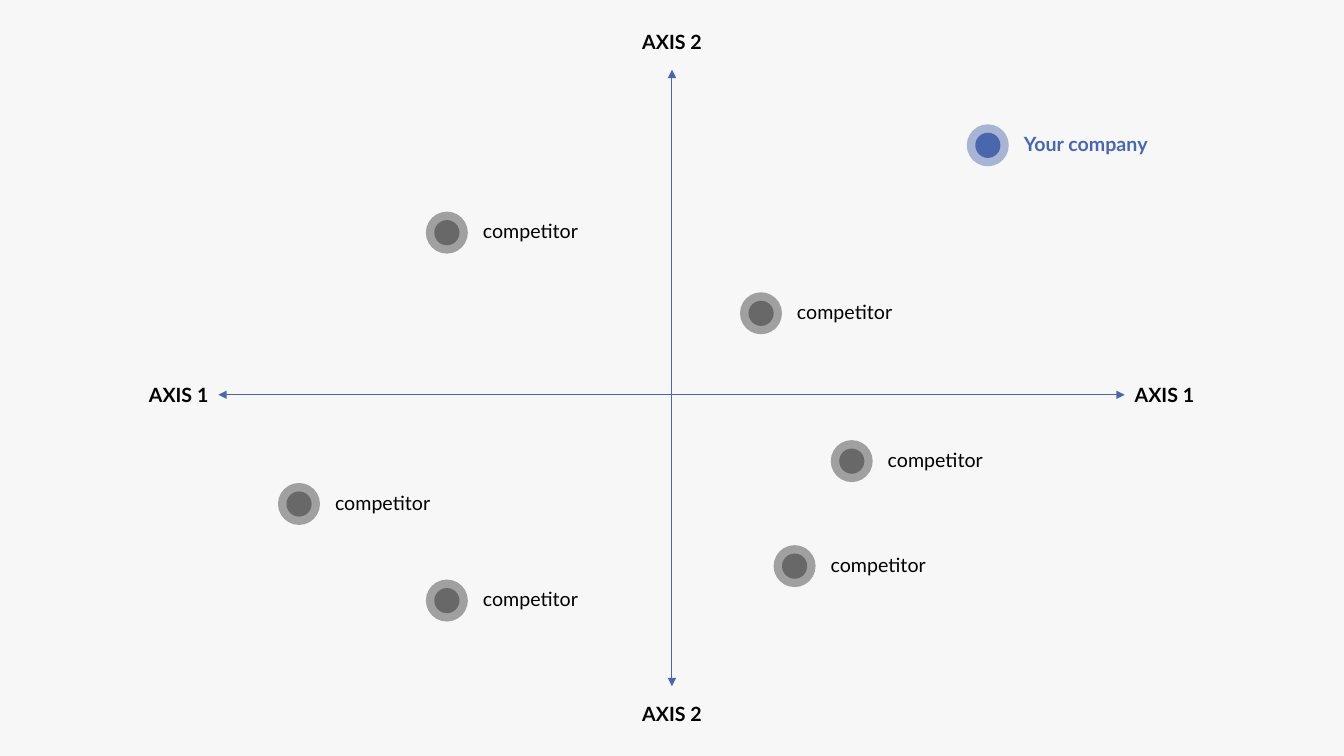
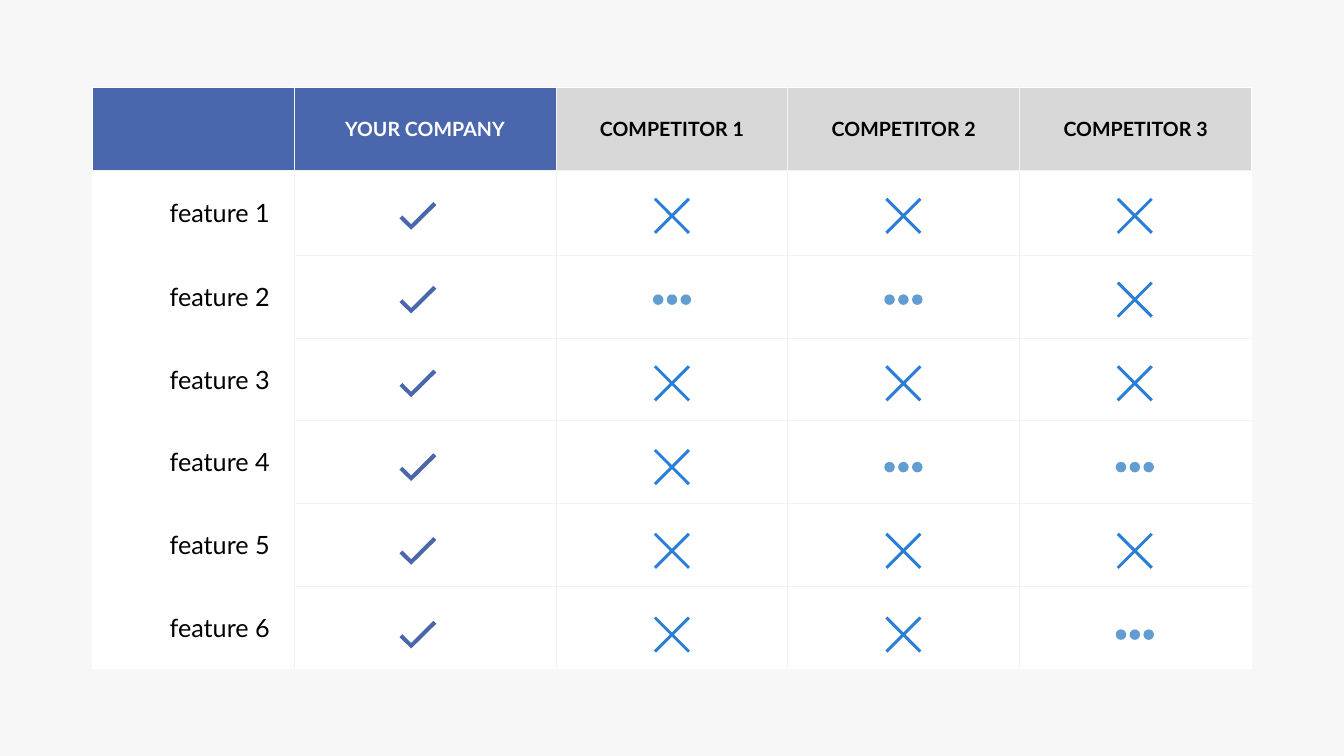
from lxml import etree
from pptx import Presentation
from pptx.dml.color import RGBColor
from pptx.enum.shapes import MSO_CONNECTOR, MSO_SHAPE
from pptx.enum.text import MSO_ANCHOR, MSO_AUTO_SIZE, PP_ALIGN
from pptx.oxml.ns import qn
from pptx.util import Emu, Inches, Pt

# Shared look: every length is in cells of a 160 by 90 grid
COLORS = {
    "page": "F7F7F7", "brand": "4A66AC", "cross": "297FD5", "dots": "629DD1",
    "black": "000000", "white": "FFFFFF", "header": "D8D8D8", "border": "F2F2F2",
}
FONT = "Lato"
CELL = Inches(1) / 12


def grid(*cells):
    return [Emu(round(CELL * cell)) for cell in cells]


def write_text(frame, text, size=14, bold=False, color="black", align=PP_ALIGN.LEFT):
    para = frame.paragraphs[0]
    para.alignment = align
    span = para.add_run()
    span.text = text
    span.font.name = FONT
    span.font.size = Pt(size)
    span.font.bold = bold
    span.font.color.rgb = RGBColor.from_string(COLORS[color])


deck = Presentation()
deck.slide_width, deck.slide_height = grid(160, 90)
background = deck.slide_master.background.fill
background.solid()
background.fore_color.rgb = RGBColor.from_string(COLORS["page"])
blank = deck.slide_layouts[6]
map_page = deck.slides.add_slide(blank)
table_page = deck.slides.add_slide(blank)
paint_jobs = []  # shape, color, opacity in percent

# Map: discs, given by their centres
RING, CORE = 5, 3
competitors = [(90.6, 37.3), (101.4, 54.9), (94.6, 67.4),
               (35.6, 60), (53.2, 71.5), (53.2, 27.7)]
players = [("Your company", 117.6, 17.3, True, "brand", 46, 100)]
players += [("competitor", x, y, False, "black", 35, 35) for x, y in competitors]

LABEL_WIDTH, LABEL_HEIGHT = 22.4, 4
labels = []  # text, left, middle, bold, color, alignment
for text, x, y, bold, color, ring_opacity, core_opacity in players:
    group = map_page.shapes.add_group_shape()
    for size, opacity in ((RING, ring_opacity), (CORE, core_opacity)):
        disc = group.shapes.add_shape(
            MSO_SHAPE.OVAL, *grid(x - size / 2, y - size / 2, size, size))
        paint_jobs.append((disc, color, opacity))
    labels.append((text, x + 3.1, y - 0.2, bold, color, PP_ALIGN.LEFT))

# Map: axis ends and all labels
AXIS_X, AXIS_Y = 80, 47
AXIS_LEFT, AXIS_RIGHT = 26, 133.9
labels += [
    ("AXIS 2", AXIS_X - LABEL_WIDTH / 2, 5, True, "black", PP_ALIGN.CENTER),
    ("AXIS 2", AXIS_X - LABEL_WIDTH / 2, 85, True, "black", PP_ALIGN.CENTER),
    ("AXIS 1", AXIS_LEFT - LABEL_WIDTH, AXIS_Y, True, "black", PP_ALIGN.RIGHT),
    ("AXIS 1", AXIS_RIGHT, AXIS_Y, True, "black", PP_ALIGN.LEFT),
]
boxes = []
for text, left, middle, bold, color, align in labels:
    box = map_page.shapes.add_textbox(
        *grid(left, middle - LABEL_HEIGHT / 2, LABEL_WIDTH, LABEL_HEIGHT))
    box.text_frame.word_wrap = True
    box.text_frame.auto_size = MSO_AUTO_SIZE.SHAPE_TO_FIT_TEXT
    box.text_frame.vertical_anchor = MSO_ANCHOR.MIDDLE
    write_text(box.text_frame, text, bold=bold, color=color, align=align)
    boxes.append(box)

# Map: axes with an arrowhead at both ends
axes = [map_page.shapes.add_connector(MSO_CONNECTOR.STRAIGHT, *grid(*ends))
        for ends in ((AXIS_X, 8.3, AXIS_X, 81.7),
                     (AXIS_LEFT, AXIS_Y, AXIS_RIGHT, AXIS_Y))]
axes[1].begin_connect(boxes[-2], 3)
axes[1].end_connect(boxes[-1], 1)
for axis in axes:
    axis.line.color.rgb = RGBColor.from_string(COLORS["brand"])
    axis.line.width = Pt(0.75)
    outline = axis.line._get_or_add_ln()
    for end in ("a:headEnd", "a:tailEnd"):
        etree.SubElement(outline, qn(end), type="triangle")
    etree.SubElement(axis._element.spPr, qn("a:effectLst"))

# Comparison: table
COLUMNS = [24, 31.2, 27.6, 27.6, 27.6]
ROWS = [9.85, 10.1] + [9.85] * 5
HEADERS = ["", "YOUR COMPANY", "COMPETITOR 1", "COMPETITOR 2", "COMPETITOR 3"]
table = table_page.shapes.add_table(
    len(ROWS), len(COLUMNS), *grid(11, 10.45, sum(COLUMNS), sum(ROWS))).table
table.first_row = table.horz_banding = False
for column, width in zip(table.columns, grid(*COLUMNS)):
    column.width = width
for row, height in zip(table.rows, grid(*ROWS)):
    row.height = height

last_row, last_column = len(ROWS) - 1, len(COLUMNS) - 1
for r in range(len(ROWS)):
    for c in range(len(COLUMNS)):
        cell = table.cell(r, c)
        cell.vertical_anchor = MSO_ANCHOR.MIDDLE
        fill_color = "white" if r else "brand" if c < 2 else "header"
        cell.fill.solid()
        cell.fill.fore_color.rgb = RGBColor.from_string(COLORS[fill_color])
        if r == 0 and c:
            write_text(cell.text_frame, HEADERS[c], bold=True,
                       color="white" if c == 1 else "black", align=PP_ALIGN.CENTER)
        elif c == 0 and r:
            cell.margin_right = Inches(0.24)
            write_text(cell.text_frame, f"feature {r}", size=18, align=PP_ALIGN.RIGHT)

        # White on the outside and between features, pale grey elsewhere
        white_sides = [
            ("a:lnL", c == 0),
            ("a:lnR", c == last_column),
            ("a:lnT", r == 0 or (c == 0 and r > 1)),
            ("a:lnB", r == last_row or (c == 0 and r > 0)),
        ]
        properties = cell._tc.get_or_add_tcPr()
        for position, (side, is_white) in enumerate(white_sides):
            border = etree.Element(qn(side), w=str(Pt(1 if is_white else 0.75)))
            border_fill = etree.SubElement(border, qn("a:solidFill"))
            etree.SubElement(border_fill, qn("a:srgbClr"),
                             val=COLORS["white" if is_white else "border"])
            properties.insert(position, border)

# Comparison: marks, one letter for each cell (v check, x cross, o dots)
MARKS = ["vxxx", "voox", "vxxx", "vxoo", "vxxx", "vxxo"]
MARK_COLUMNS = [49.75, 80, 107.55, 135.1]
FIRST_MARK, MARK_STEP = 25.7, 9.97
DOT, DOT_STEP = 1.25, 1.65
OUTLINES = {
    "v": ("brand", [(1.85, -1.65), (-0.8, 1), (-1.85, -0.05),
                    (-2.2, 0.3), (-0.8, 1.65), (2.2, -1.3)]),
    "x": ("cross", [(2.15, -1.9), (1.9, -2.15), (0, -0.25), (-1.9, -2.15),
                    (-2.15, -1.9), (-0.25, 0), (-2.15, 1.9), (-1.9, 2.15),
                    (0, 0.25), (1.9, 2.15), (2.15, 1.9), (0.25, 0)]),
}
for r, marks in enumerate(MARKS):
    y = FIRST_MARK + r * MARK_STEP
    for x, mark in zip(MARK_COLUMNS, marks):
        if mark == "o":
            group = table_page.shapes.add_group_shape()
            for step in (-1, 0, 1):
                dot = group.shapes.add_shape(MSO_SHAPE.OVAL, *grid(
                    x + step * DOT_STEP - DOT / 2, y - DOT / 2, DOT, DOT))
                paint_jobs.append((dot, "dots", 100))
        else:
            color, outline = OUTLINES[mark]
            points = [grid(x + across, y + down) for across, down in outline]
            builder = table_page.shapes.build_freeform(*points[0])
            builder.add_line_segments(points[1:], close=True)
            paint_jobs.append((builder.convert_to_shape(), color, 100))

# Fill discs, dots, checks and crosses
for shape, color, opacity in paint_jobs:
    shape.shadow.inherit = False
    shape.line.fill.background()
    shape.fill.solid()
    shape.fill.fore_color.rgb = RGBColor.from_string(COLORS[color])
    if opacity < 100:
        tint = shape._element.spPr.find(qn("a:solidFill")).find(qn("a:srgbClr"))
        etree.SubElement(tint, qn("a:alpha"), val=str(opacity * 1000))

deck.save("out.pptx")
